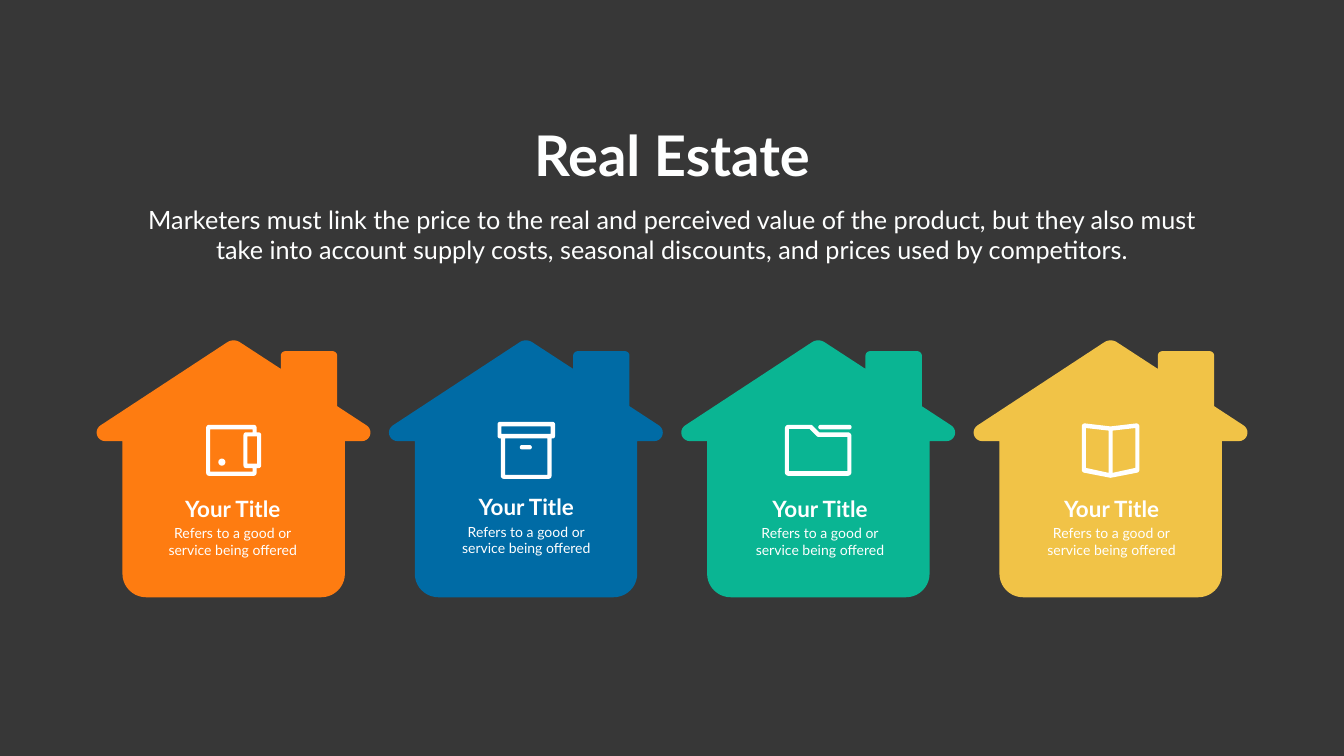
import math

from pptx import Presentation
from pptx.dml.color import RGBColor
from pptx.enum.shapes import MSO_SHAPE
from pptx.enum.text import PP_ALIGN
from pptx.util import Cm, Pt

OVAL = MSO_SHAPE.OVAL
PILL = MSO_SHAPE.ROUNDED_RECTANGLE
CENTER = PP_ALIGN.CENTER

FONT = "Lato"
BACKGROUND = "373737"
WHITE = "FFFFFF"
HEADING_WHITE = "FEFFFF"
ARC_STEPS = 10

HOUSE_LEFT, HOUSE_TOP, HOUSE_PITCH = 4.65, 17.12, 14.73

# Outlines are corners (x, y, radius) in centimetres from the element's top left.
HOUSE = [
    (7.12, -0.08, 0.58), (9.5, 1.47, 0), (9.5, 0.58, 0.23), (12.34, 0.58, 0.23),
    (12.34, 3.35, 0), (15.03, 5.11, 0.43), (12.73, 5.11, 0), (12.73, 12.98, 1.19),
    (1.52, 12.98, 1.19), (1.52, 5.11, 0), (-0.79, 5.11, 0.43),
]


def rectangle(left, top, right, bottom):
    return [(left, top, 0), (right, top, 0), (right, bottom, 0), (left, bottom, 0)]


WALLET = [
    [(0, 0, 0.15), (2.54, 0, 0.15), (2.54, 0.38, 0), (2.77, 0.38, 0.13),
     (2.77, 2.18, 0.13), (2.54, 2.18, 0), (2.54, 2.57, 0.15), (0, 2.57, 0.15)],
    [(0.2, 0.23, 0), (2.34, 0.23, 0), (2.34, 0.38, 0), (1.88, 0.38, 0.13),
     (1.88, 2.18, 0.13), (2.34, 2.18, 0), (2.34, 2.36, 0), (0.2, 2.36, 0)],
    rectangle(2.08, 0.58, 2.57, 1.96),
]
BOX = [
    [(0, 0, 0.13), (2.9, 0, 0.13), (2.9, 0.84, 0.13), (2.72, 0.84, 0),
     (2.72, 2.87, 0.14), (0.17, 2.87, 0.14), (0.17, 0.84, 0), (0, 0.84, 0.13)],
    rectangle(0.2, 0.23, 2.67, 0.61),
    rectangle(0.38, 0.84, 2.51, 2.67),
]
FOLDER = [
    [(0, 0, 0.18), (1.35, 0, 0.1), (1.73, 0.38, 0), (3.35, 0.38, 0.18),
     (3.35, 2.57, 0.18), (0, 2.57, 0.18)],
    [(0.2, 0.2, 0), (1.24, 0.2, 0), (1.65, 0.61, 0.1), (3.15, 0.61, 0),
     (3.15, 2.34, 0), (0.2, 2.34, 0)],
]
BOOK = [
    [(0, -0.02, 0.15), (1.45, 0.15, 0), (2.9, -0.02, 0.15), (2.9, 2.46, 0.15),
     (1.45, 2.74, 0), (0, 2.46, 0.15)],
    [(0.2, 0.23, 0), (1.35, 0.36, 0), (1.35, 2.49, 0), (0.2, 2.24, 0)],
    [(1.55, 0.36, 0), (2.7, 0.23, 0), (2.7, 2.24, 0), (1.55, 2.49, 0)],
]

# House colour, icon outlines, icon position, icon detail (kind, x, y, width,
# height relative to the icon), label position.
HOUSES = [
    ("FE7C11", WALLET, (10.39, 21.41), (OVAL, 0.61, 1.7, 0.36, 0.36), (8.81, 24.82)),
    ("006BA5", BOX, (25.07, 21.26), (PILL, 1.12, 1.17, 0.61, 0.22), (23.6, 24.74)),
    ("0AB593", FOLDER, (39.55, 21.41), (PILL, 1.68, 0, 1.68, 0.23), (38.4, 24.82)),
    ("F1C347", BOOK, (54.51, 21.34), None, (53.09, 24.82)),
]


def color(hex_string):
    return RGBColor.from_string(hex_string)


def paint(shape, fill):
    shape.shadow.inherit = False
    shape.fill.solid()
    shape.fill.fore_color.rgb = color(fill)
    shape.line.fill.background()


def round_corner(previous, corner, following):
    """Return the points of the arc that replaces one corner."""
    x, y, radius = corner
    if not radius:
        return [(x, y)]
    to_previous = math.atan2(previous[1] - y, previous[0] - x)
    to_following = math.atan2(following[1] - y, following[0] - x)
    opening = math.remainder(to_following - to_previous, math.tau)
    half = abs(opening) / 2
    bisector = to_previous + opening / 2
    center_x = x + radius / math.sin(half) * math.cos(bisector)
    center_y = y + radius / math.sin(half) * math.sin(bisector)
    sweep = math.copysign(math.pi / 2 - half, opening)
    angles = [bisector + math.pi + sweep * (1 - 2 * step / ARC_STEPS)
              for step in range(ARC_STEPS + 1)]
    # The arc runs from the previous side to the following side.
    return [(center_x + radius * math.cos(angle), center_y + radius * math.sin(angle))
            for angle in angles]


def outline_points(corners, left, top):
    points = []
    for index, corner in enumerate(corners):
        following = corners[(index + 1) % len(corners)]
        points += round_corner(corners[index - 1], corner, following)
    return [(Cm(left + x), Cm(top + y)) for x, y in points]


def add_outlines(slide, outlines, left, top, fill):
    """Draw one filled shape; outlines after the first are holes or islands."""
    builder = None
    for corners in outlines:
        points = outline_points(corners, left, top)
        if builder is None:
            builder = slide.shapes.build_freeform(*points[0])
        else:
            builder.move_to(*points[0])
        builder.add_line_segments(points[1:], close=True)
    paint(builder.convert_to_shape(), fill)


def add_detail(slide, kind, left, top, width, height):
    shape = slide.shapes.add_shape(kind, Cm(left), Cm(top), Cm(width), Cm(height))
    if kind == PILL:
        shape.adjustments[0] = 0.5
    paint(shape, WHITE)


def add_text(slide, text, left, top, width, height, size, bold=False, font_color=WHITE):
    box = slide.shapes.add_textbox(Cm(left), Cm(top), Cm(width), Cm(height))
    box.text_frame.word_wrap = True
    box.text_frame.text = text
    for paragraph in box.text_frame.paragraphs:
        paragraph.alignment = CENTER
        for run in paragraph.runs:
            run.font.name = FONT
            run.font.size = Pt(size)
            run.font.bold = bold
            run.font.color.rgb = color(font_color)


def add_house(slide, index, fill, icon, icon_position, detail, label_position):
    add_outlines(slide, [HOUSE], HOUSE_LEFT + index * HOUSE_PITCH, HOUSE_TOP, fill)
    icon_left, icon_top = icon_position
    add_outlines(slide, icon, icon_left, icon_top, WHITE)
    if detail:
        kind, x, y, width, height = detail
        add_detail(slide, kind, icon_left + x, icon_top + y, width, height)
    left, top = label_position
    add_text(slide, "Your Title", left, top, 5.84, 1.63, 32, bold=True)
    add_text(slide, "Refers to a good or\nservice being offered",
             left - 0.6, top + 1.5, 7.04, 1.96, 20)


def main():
    presentation = Presentation()
    presentation.slide_width = Cm(67.72)
    presentation.slide_height = Cm(38.1)
    slide = presentation.slides.add_slide(presentation.slide_layouts[6])
    slide.background.fill.solid()
    slide.background.fill.fore_color.rgb = color(BACKGROUND)

    add_text(slide, "Real Estate", 26.47, 5.97, 14.78, 3.68, 80,
             bold=True, font_color=HEADING_WHITE)
    add_text(slide, "Marketers must link the price to the real and perceived value of the "
             "product, but they also must take into account supply costs, seasonal "
             "discounts, and prices used by competitors.",
             6.81, 10.16, 54.1, 3.33, 36, font_color=HEADING_WHITE)
    for index, house in enumerate(HOUSES):
        add_house(slide, index, *house)
    presentation.save("out.pptx")


if __name__ == "__main__":
    main()
